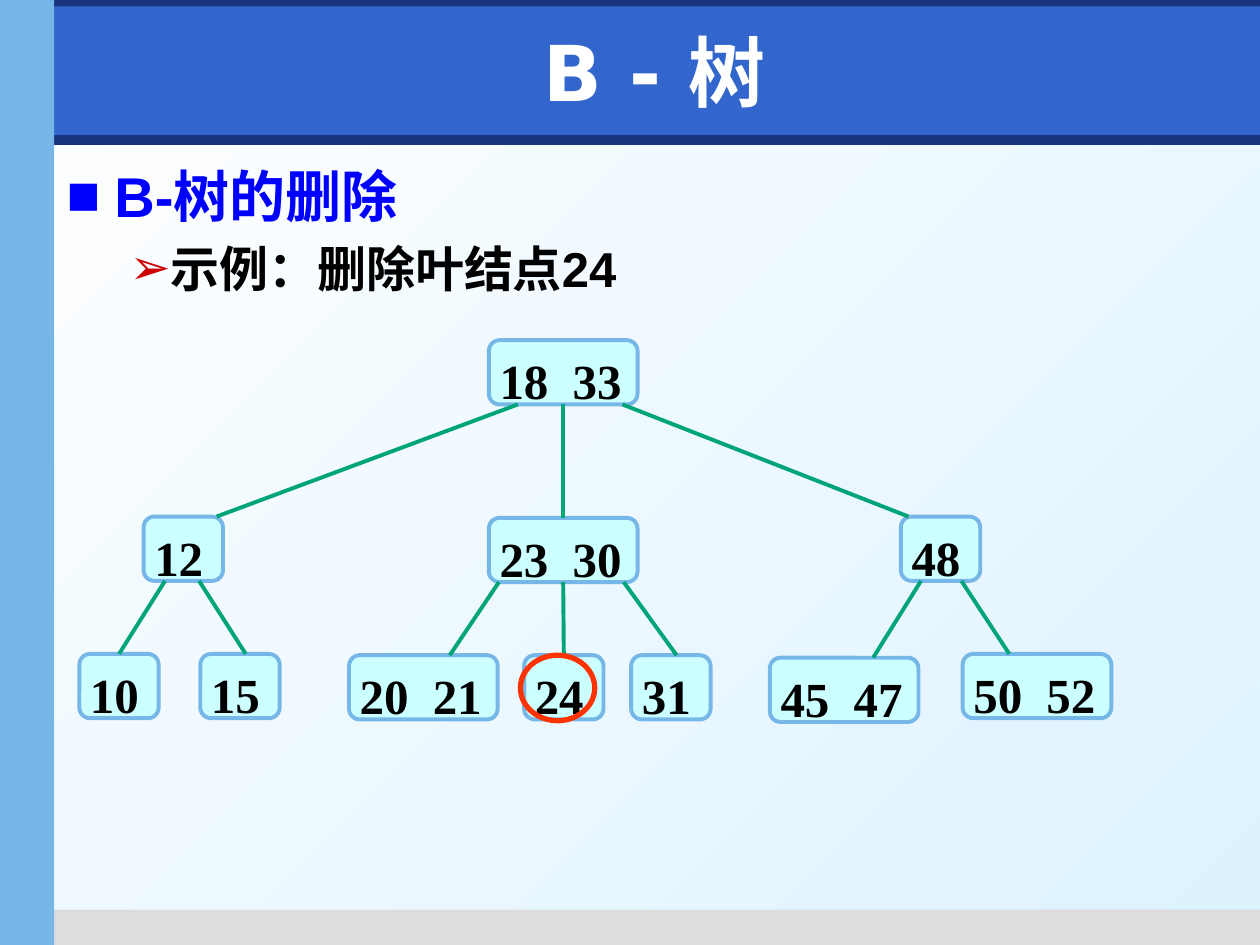
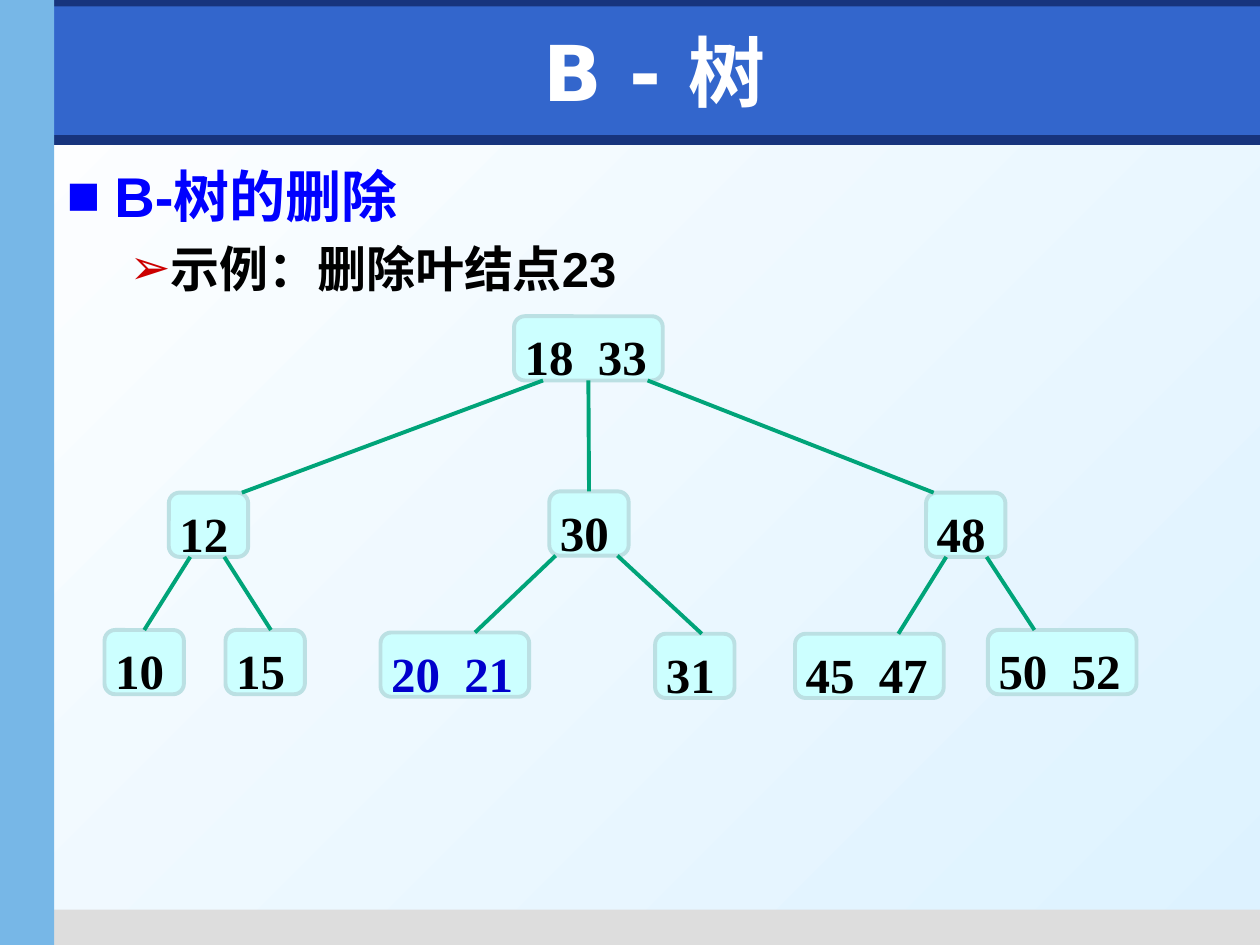
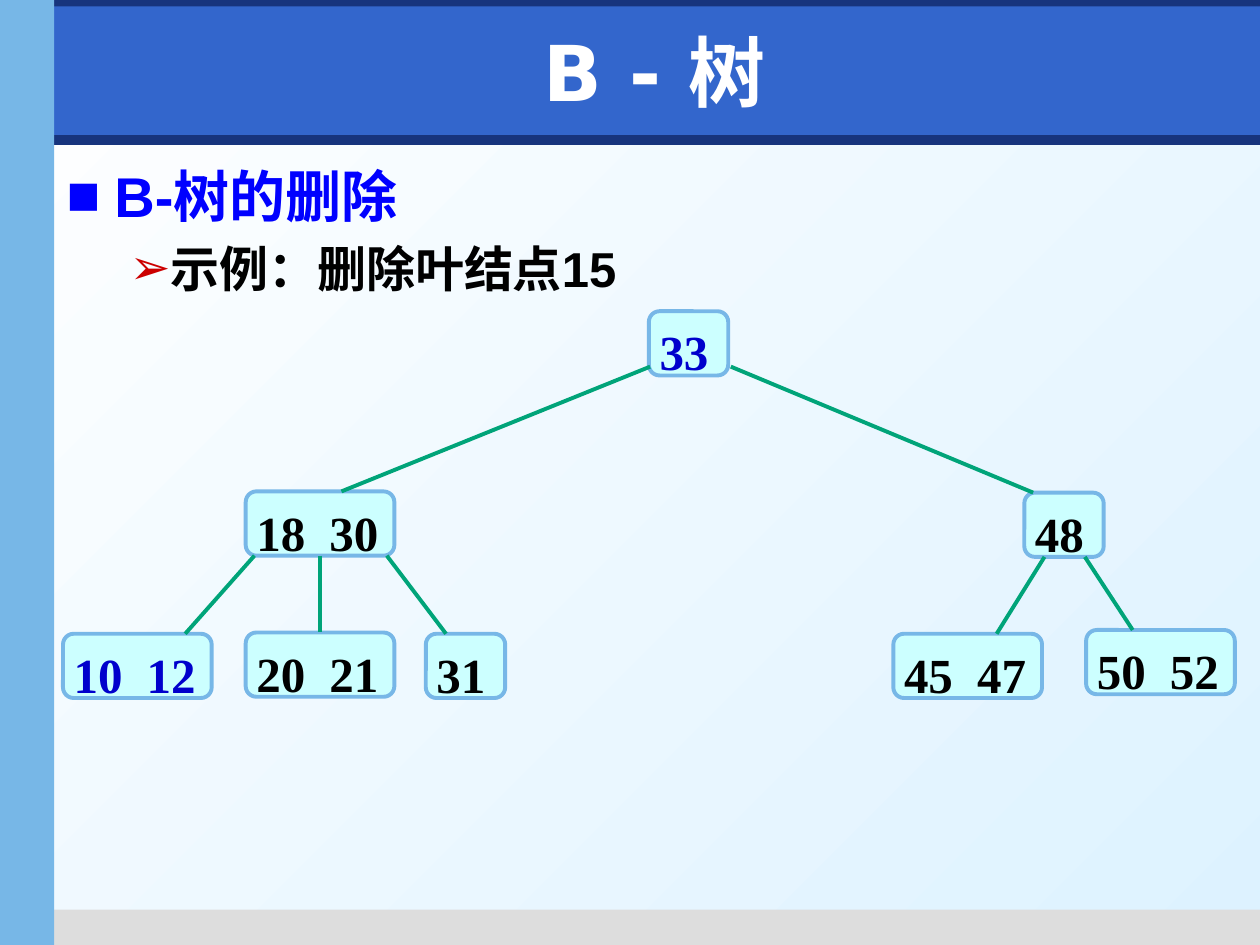
from dataclasses import dataclass, replace
from typing import Optional

import lxml.etree
import pptx
import pptx.dml.color
import pptx.enum.shapes
import pptx.enum.text
import pptx.oxml.ns
import pptx.util

Inches = pptx.util.Inches
Pt = pptx.util.Pt
SHAPES = pptx.enum.shapes.MSO_SHAPE
ALIGN = pptx.enum.text.PP_ALIGN
ANCHOR = pptx.enum.text.MSO_ANCHOR

NAVY = "17347D"
BLUE = "3366CC"
SKY = "77B7E7"
PALE_TEAL = "BBE0E3"
GRAY = "DDDDDD"
WHITE = "FFFFFF"
ICE = "DDF2FF"
AQUA = "CCFFFF"
GREEN = "00A479"
BLACK = "000000"
HEADING_BLUE = "0000FF"
CHANGED_BLUE = "0000CC"
ARROW_RED = "CC0000"
RING_RED = "FF3300"

NODE_HEIGHT = 0.51
NODE_WIDTHS = {1: 0.63, 2: 1.18}
SECOND_KEY_TAB = 0.58


@dataclass(frozen=True)
class Box:
    left: float
    top: float
    width: float
    height: float


@dataclass(frozen=True)
class Band:
    box: Box
    color: str


@dataclass(frozen=True)
class BulletLine:
    text: str
    size: int
    color: str
    bullet: str
    bullet_color: str
    margin: float
    hanging: float
    space_before: float


@dataclass(frozen=True)
class Node:
    keys: str
    left: float
    top: float
    color: str = BLACK

    @property
    def box(self) -> Box:
        return Box(self.left, self.top, NODE_WIDTHS[len(self.keys.split())], NODE_HEIGHT)


@dataclass(frozen=True)
class Edge:
    parent: str
    child: str
    begin_x: Optional[float] = None
    end_x: Optional[float] = None
    rise: float = 0


@dataclass(frozen=True)
class Tree:
    nodes: list[Node]
    edges: list[Edge]


@dataclass(frozen=True)
class Example:
    deleted: str
    tree: Tree
    node_line: str = SKY
    ring: Optional[Box] = None


BANDS = [
    Band(Box(0.04, 1.07, 9.96, 0.08), NAVY),
    Band(Box(0.35, 7.22, 9.65, 0.28), GRAY),
    Band(Box(0, 0, 10, 0.21), NAVY),
    Band(Box(0.43, 0.05, 9.57, 1.02), BLUE),
    Band(Box(0, 0, 0.43, 7.5), SKY),
]
TITLE_BOX = Box(0.59, 0.13, 9.21, 0.87)
BODY_BOX = Box(0.43, 1.23, 9.37, 5.9)


def shifted(tree: Tree, right: float, down: float) -> Tree:
    def move(x: Optional[float]) -> Optional[float]:
        return None if x is None else x + right

    return Tree(
        [replace(node, left=node.left + right, top=node.top + down) for node in tree.nodes],
        [replace(edge, begin_x=move(edge.begin_x), end_x=move(edge.end_x)) for edge in tree.edges],
    )


def merged(*trees: Tree) -> Tree:
    return Tree(
        [node for tree in trees for node in tree.nodes],
        [edge for tree in trees for edge in tree.edges],
    )


RIGHT_BRANCH = Tree(
    [Node("48", 7.15, 4.1), Node("45 47", 6.11, 5.22), Node("50 52", 7.64, 5.19)],
    [Edge("48", "45 47", 7.31, 6.93), Edge("48", "50 52", 7.63, 8.01)],
)
OUTER_BRANCHES = merged(
    Tree(
        [
            Node("18 33", 3.88, 2.7),
            Node("12", 1.14, 4.1),
            Node("10", 0.63, 5.19),
            Node("15", 1.59, 5.19),
        ],
        [
            Edge("18 33", "12", 4.11, 1.72),
            Edge("18 33", "48", 4.94, 7.21),
            Edge("12", "10", 1.31),
            Edge("12", "15", 1.58, 1.95),
        ],
    ),
    RIGHT_BRANCH,
)
FULL_MIDDLE = Tree(
    [
        Node("23 30", 3.88, 4.11),
        Node("20 21", 2.77, 5.2),
        Node("24", 4.16, 5.2),
        Node("31", 5.01, 5.2),
    ],
    [
        Edge("18 33", "23 30"),
        Edge("23 30", "20 21", 3.96, 3.57),
        Edge("23 30", "24"),
        Edge("23 30", "31", 4.95, 5.37),
    ],
)
REDUCED_MIDDLE = Tree(
    [Node("30", 4.36, 3.9), Node("20 21", 3.02, 5.02, CHANGED_BLUE), Node("31", 5.2, 5.03)],
    [
        Edge("18 33", "30"),
        Edge("30", "20 21", 4.41, 3.77),
        Edge("30", "31", 4.9, 5.57),
    ],
)
MERGED_LEFT = Tree(
    [
        Node("33", 5.15, 2.47, CHANGED_BLUE),
        Node("18 30", 1.95, 3.9),
        Node("10 12", 0.5, 5.03, CHANGED_BLUE),
        Node("20 21", 1.95, 5.02),
        Node("31", 3.38, 5.03),
    ],
    [
        Edge("33", "18 30", 5.16, 2.71, rise=0.07),
        Edge("33", "48", 5.8, 8.2, rise=0.07),
        Edge("18 30", "10 12", 2.02, 1.47),
        Edge("18 30", "20 21"),
        Edge("18 30", "31", 3.07, 3.54),
    ],
)
EXAMPLES = [
    Example("24", merged(OUTER_BRANCHES, FULL_MIDDLE), ring=Box(4.13, 5.2, 0.59, 0.52)),
    Example("23", merged(shifted(OUTER_BRANCHES, 0.2, -0.19), REDUCED_MIDDLE), PALE_TEAL),
    Example("15", merged(MERGED_LEFT, shifted(RIGHT_BRANCH, 0.98, -0.19))),
]


def rgb(color: str) -> pptx.dml.color.RGBColor:
    return pptx.dml.color.RGBColor.from_string(color)


def lengths(box: Box) -> list[int]:
    return [Inches(value) for value in (box.left, box.top, box.width, box.height)]


def add_run(paragraph, text: str, font_name: str, size: int, color: str) -> None:
    run = paragraph.add_run()
    run.text = text
    run.font.name = font_name
    run.font.size = Pt(size)
    run.font.bold = True
    run.font.color.rgb = rgb(color)


def add_element(parent, tag: str, **attributes: str):
    element = lxml.etree.SubElement(parent, pptx.oxml.ns.qn(tag))
    for name, value in attributes.items():
        element.set(name, value)
    return element


def add_outline(slide, kind, box: Box, fill: Optional[str], line: Optional[str], width: float = 0):
    shape = slide.shapes.add_shape(kind, *lengths(box))
    shape.shadow.inherit = False
    if fill:
        shape.fill.solid()
        shape.fill.fore_color.rgb = rgb(fill)
    else:
        shape.fill.background()
    if line:
        shape.line.color.rgb = rgb(line)
        shape.line.width = Pt(width)
    else:
        shape.line.fill.background()
    return shape


def add_background(slide) -> None:
    fill = slide.background.fill
    fill.gradient()
    fill.gradient_angle = 315
    for stop, color in zip(fill.gradient_stops, (WHITE, ICE)):
        stop.color.rgb = rgb(color)


def add_text_frame(slide, box: Box):
    frame = slide.shapes.add_textbox(*lengths(box)).text_frame
    frame.word_wrap = True
    return frame


def add_title(slide) -> None:
    frame = add_text_frame(slide, TITLE_BOX)
    frame.vertical_anchor = ANCHOR.MIDDLE
    paragraph = frame.paragraphs[0]
    paragraph.alignment = ALIGN.CENTER
    add_run(paragraph, "B - 树", "DejaVu Sans", 44, WHITE)


def fill_bullet(paragraph, line: BulletLine) -> None:
    properties = paragraph._p.get_or_add_pPr()
    properties.set("marL", str(Inches(line.margin)))
    properties.set("indent", str(-Inches(line.hanging)))
    bullet_color = add_element(properties, "a:buClr")
    add_element(bullet_color, "a:srgbClr", val=line.bullet_color)
    add_element(properties, "a:buFont", typeface="Arial")
    add_element(properties, "a:buChar", char=line.bullet)
    paragraph.space_before = Pt(line.space_before)
    add_run(paragraph, line.text, "Arial", line.size, line.color)


def add_body(slide, deleted: str) -> None:
    frame = add_text_frame(slide, BODY_BOX)
    heading = BulletLine("B-树的删除", 32, HEADING_BLUE, "■", HEADING_BLUE, 0.38, 0.38, 0)
    example = BulletLine(f"示例：删除叶结点{deleted}", 28, BLACK, "➢", ARROW_RED, 0.81, 0.31, 5.6)
    fill_bullet(frame.paragraphs[0], heading)
    fill_bullet(frame.add_paragraph(), example)


def add_node(slide, node: Node, line: str):
    shape = add_outline(slide, SHAPES.ROUNDED_RECTANGLE, node.box, AQUA, line, 2.25)
    frame = shape.text_frame
    frame.word_wrap = True
    frame.vertical_anchor = ANCHOR.TOP
    frame.margin_left, frame.margin_right = Inches(0.06), Inches(0.02)
    frame.margin_top, frame.margin_bottom = Inches(0.06), Inches(0.01)
    paragraph = frame.paragraphs[0]
    paragraph.alignment = ALIGN.JUSTIFY
    tabs = add_element(paragraph._p.get_or_add_pPr(), "a:tabLst")
    add_element(tabs, "a:tab", pos=str(Inches(SECOND_KEY_TAB)), algn="l")
    add_run(paragraph, "\t".join(node.keys.split()), "Times New Roman", 28, node.color)
    return shape


def add_edge(slide, edge: Edge, shapes: dict) -> None:
    parent, child = shapes[edge.parent], shapes[edge.child]
    connector = slide.shapes.add_connector(
        pptx.enum.shapes.MSO_CONNECTOR.STRAIGHT,
        Inches(edge.begin_x or 0),
        parent.top + parent.height - Inches(edge.rise),
        Inches(edge.end_x or 0),
        child.top,
    )
    if edge.begin_x is None:
        connector.begin_connect(parent, 2)
    if edge.end_x is None:
        connector.end_connect(child, 0)
    connector.line.color.rgb = rgb(GREEN)
    connector.line.width = Pt(2.25)
    add_element(connector._element.spPr, "a:effectLst")


def add_example(presentation, example: Example) -> None:
    slide = presentation.slides.add_slide(presentation.slide_layouts[6])
    add_background(slide)
    for band in BANDS:
        add_outline(slide, SHAPES.RECTANGLE, band.box, band.color, None)
    add_title(slide)
    add_body(slide, example.deleted)
    shapes = {node.keys: add_node(slide, node, example.node_line) for node in example.tree.nodes}
    for edge in example.tree.edges:
        add_edge(slide, edge, shapes)
    if example.ring:
        add_outline(slide, SHAPES.OVAL, example.ring, None, RING_RED, 3)


def main() -> None:
    presentation = pptx.Presentation()
    presentation.slide_width = Inches(10)
    presentation.slide_height = Inches(7.5)
    for example in EXAMPLES:
        add_example(presentation, example)
    presentation.save("out.pptx")


if __name__ == "__main__":
    main()
